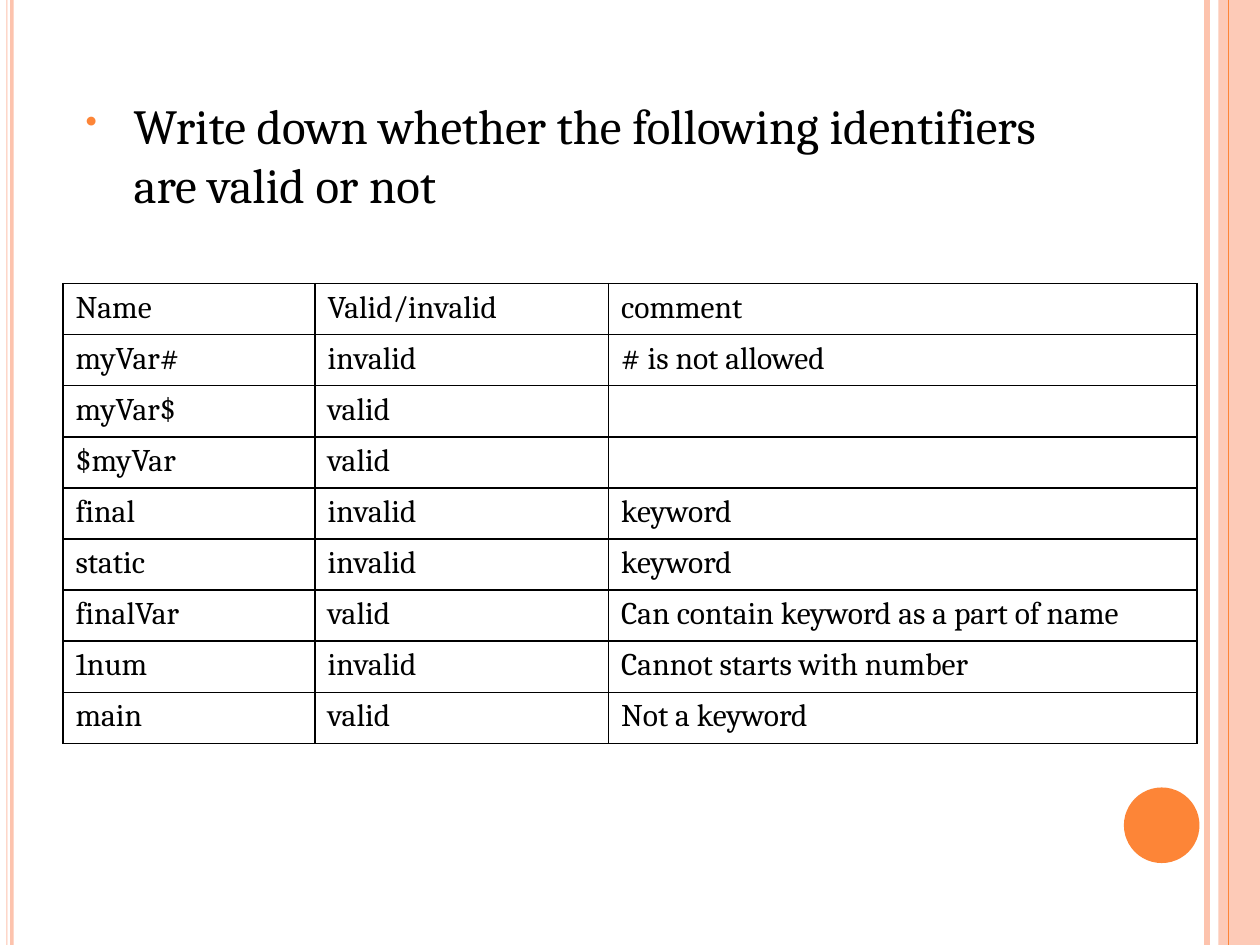
from dataclasses import dataclass

from lxml.etree import SubElement
from pptx import Presentation
from pptx.dml.color import RGBColor as RGB
from pptx.enum.shapes import MSO_CONNECTOR as Connector, MSO_SHAPE as Shape
from pptx.oxml.ns import qn
from pptx.util import Inches, Pt


@dataclass(frozen=True)
class Theme:
    font: str = "Cambria"
    text: str = "000000"
    accent: str = "FD8537"
    pale: str = "FDC3AD"
    question_size: int = 28
    table_size: int = 18


def add_xml(parent, tag, **attributes):
    return SubElement(parent, qn(tag), attributes)


class SlideBuilder:
    def __init__(self, slide, theme):
        self.slide = slide
        self.theme = theme

    def style(self, paragraph, size):
        font = paragraph.font
        font.name, font.size = self.theme.font, Pt(size)
        font.color.rgb = RGB.from_string(self.theme.text)

    def shape(self, kind, left, top, width, height, color, opacity=100):
        shape = self.slide.shapes.add_shape(
            kind, Inches(left), Inches(top), Inches(width), Inches(height))
        shape.shadow.inherit = False
        shape.line.fill.background()
        shape.fill.solid()
        shape.fill.fore_color.rgb = RGB.from_string(color)
        if opacity < 100:
            rgb = shape.fill._xPr.find(".//" + qn("a:srgbClr"))
            add_xml(rgb, "a:alpha", val=str(opacity * 1000))

    def vertical_line(self, x, height, color, weight):
        line = self.slide.shapes.add_connector(
            Connector.STRAIGHT, Inches(x), 0, Inches(x), Inches(height))
        line.line.color.rgb = RGB.from_string(color)
        line.line.width = Pt(weight)
        add_xml(line._element.spPr, "a:effectLst")

    def bullet(self, text, left, top, width, height):
        box = self.slide.shapes.add_textbox(
            Inches(left), Inches(top), Inches(width), Inches(height))
        frame = box.text_frame
        frame.word_wrap = True
        frame.margin_left = frame.margin_right = frame.margin_bottom = 0
        frame.margin_top = Inches(0.01)
        paragraph = frame.paragraphs[0]
        paragraph.text = text
        paragraph.space_before = Pt(1)
        props = paragraph._p.get_or_add_pPr()
        props.set("marL", str(Inches(0.39)))
        props.set("indent", str(Inches(-0.38)))
        add_xml(add_xml(props, "a:buClr"), "a:srgbClr", val=self.theme.accent)
        add_xml(props, "a:buSzPct", val="69000")
        add_xml(props, "a:buChar", char="•")
        self.style(paragraph, self.theme.question_size)

    def table(self, rows, left, top, widths, height):
        frame = self.slide.shapes.add_table(
            len(rows), len(widths), Inches(left), Inches(top),
            Inches(sum(widths)), Inches(height))
        table = frame.table
        table.first_row = table.horz_banding = False
        for column, width in zip(table.columns, widths):
            column.width = Inches(width)
        for r, values in enumerate(rows):
            for c, value in enumerate(values):
                cell = table.cell(r, c)
                cell.text = value
                self.style(cell.text_frame.paragraphs[0], self.theme.table_size)
                self.borders(cell)
                cell.fill.background()

    def borders(self, cell):
        props = cell._tc.get_or_add_tcPr()
        for side in "LRTB":
            line = add_xml(props, f"a:ln{side}", w=str(Pt(1)))
            fill = add_xml(line, "a:solidFill")
            add_xml(fill, "a:srgbClr", val=self.theme.text)


IDENTIFIERS = [
    ("Name", "Valid/invalid", "comment"),
    ("myVar#", "invalid", "# is not allowed"),
    ("myVar$", "valid", ""),
    ("$myVar", "valid", ""),
    ("final", "invalid", "keyword"),
    ("static", "invalid", "keyword"),
    ("finalVar", "valid", "Can contain keyword as a part of name"),
    ("1num", "invalid", "Cannot starts with number"),
    ("main", "valid", "Not a keyword"),
]


def main():
    width, height = 10, 7.5
    presentation = Presentation()
    presentation.slide_width = Inches(width)
    presentation.slide_height = Inches(height)
    slide = presentation.slides.add_slide(presentation.slide_layouts[6])
    theme = Theme()
    builder = SlideBuilder(slide, theme)

    # Page decoration
    builder.vertical_line(9.58, height, theme.pale, 3)
    builder.shape(Shape.OVAL, 8.92, 6.25, 0.6, 0.6, theme.accent)
    for left, stripe_width in ((0.05, 0.01), (0.08, 0.03)):
        builder.shape(Shape.RECTANGLE, left, 0, stripe_width, height, theme.pale)
    builder.shape(Shape.RECTANGLE, 9.67, 0, 0.33, height, theme.pale, opacity=87)
    builder.vertical_line(9.75, height, theme.accent, 0.75)

    # Question
    builder.bullet("Write down whether the following identifiers are valid or not",
                   0.67, 0.75, 7.83, 0.96)

    # Answers
    builder.table(IDENTIFIERS, 0.5, 2.25, (2, 2.33, 4.67), 3.65)

    presentation.save("out.pptx")


if __name__ == "__main__":
    main()
